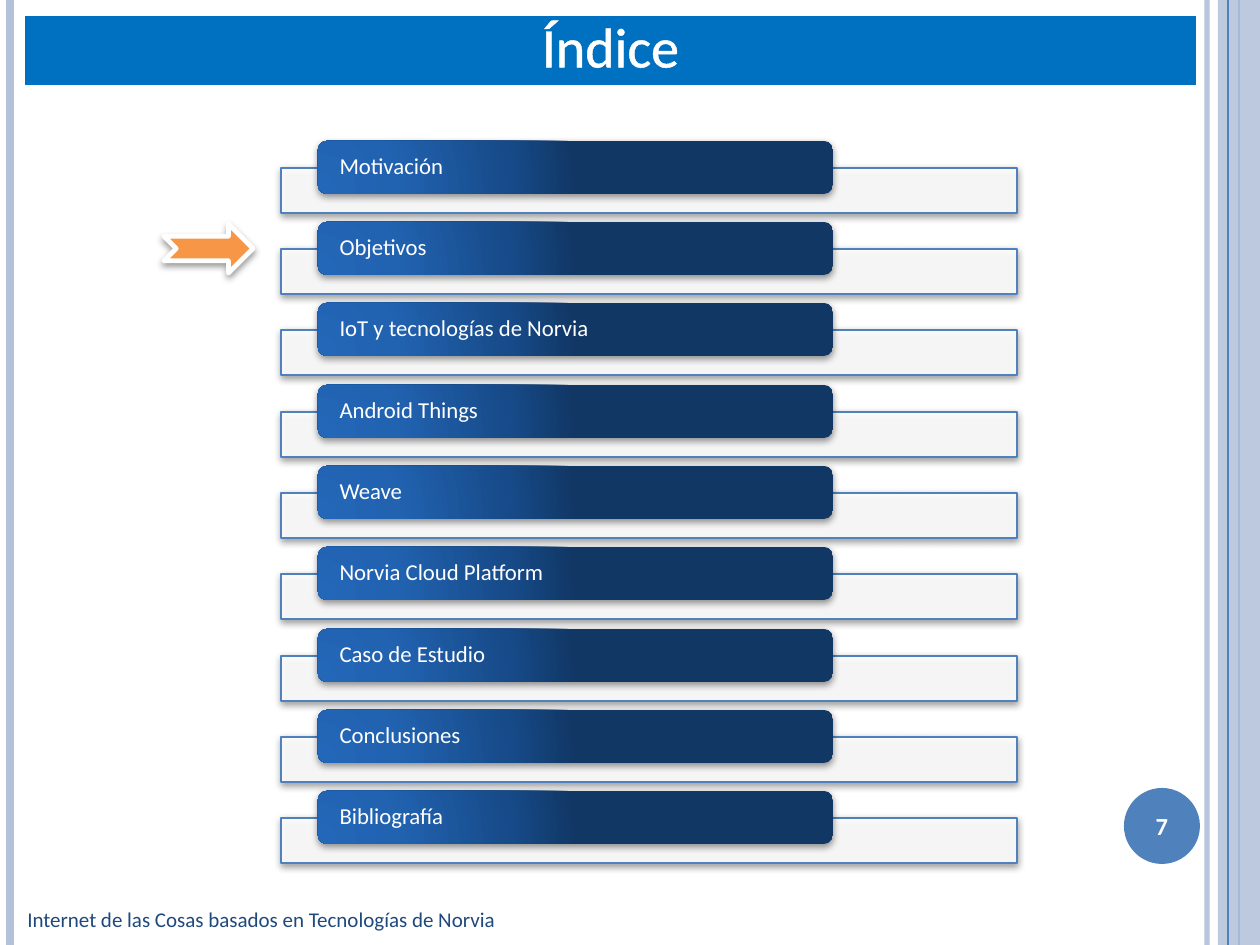
from dataclasses import dataclass
from lxml.etree import SubElement as Sub
from pptx import Presentation
from pptx.dml.color import RGBColor
from pptx.enum.shapes import MSO_CONNECTOR as Conn, MSO_SHAPE as Kind
from pptx.enum.text import MSO_ANCHOR as Anchor, MSO_AUTO_SIZE as Fit, PP_ALIGN as Align
from pptx.oxml import parse_xml
from pptx.oxml.ns import qn
from pptx.util import Emu, Pt

SCALE = 914400 / 126
NS = 'xmlns:a="http://schemas.openxmlformats.org/drawingml/2006/main"'
BLUE = "4F81BD"
PALE = "B3C1DB"
WHITE = "FFFFFF"
STEP = 81.25
STOPS = [(0, "2367B8"), (30, "2263B1"), (75, "164A88"), (100, "113765")]
TOPICS = [
    "Motivación",
    "Objetivos",
    "IoT y tecnologías de Norvia",
    "Android Things",
    "Weave",
    "Norvia Cloud Platform",
    "Caso de Estudio",
    "Conclusiones",
    "Bibliografía",
]


@dataclass
class Box:
    x: int
    y: int
    w: int
    h: int


@dataclass
class Rule:
    x: int
    color: str
    width: float
    alpha: int = 100


RULES = [Rule(1207, PALE, 3, 93), Rule(10, PALE, 4.5), Rule(1239, BLUE, 1.5)]
THIN = Rule(1228, BLUE, 0.75)


def px(n: int) -> Emu:
    return Emu(round(n * SCALE))


def rgb(code: str) -> RGBColor:
    return RGBColor.from_string(code)


def area(box: Box) -> tuple:
    return px(box.x), px(box.y), px(box.w), px(box.h)


def paint(fill, owner, color: str, alpha: int = 100) -> None:
    fill.solid()
    fill.fore_color.rgb = rgb(color)
    if alpha < 100:
        tone = next(owner.iter(qn("a:srgbClr")))
        Sub(tone, qn("a:alpha"), val=str(alpha * 1000))


def draw_rule(slide, rule: Rule) -> None:
    line = slide.shapes.add_connector(Conn.STRAIGHT, px(rule.x), 0, px(rule.x), px(945))
    line.line.width = Pt(rule.width)
    props = line._element.spPr
    paint(line.line.fill, props, rule.color, rule.alpha)
    Sub(props, qn("a:effectLst"))


def add_shape(slide, kind: Kind, box: Box, color: str = "", alpha: int = 100,
              edge: str = "", width: float = 1):
    shape = slide.shapes.add_shape(kind, *area(box))
    shape.shadow.inherit = False
    if color:
        paint(shape.fill, shape._element.spPr, color, alpha)
    if edge:
        shape.line.color.rgb = rgb(edge)
        shape.line.width = Pt(width)
    else:
        shape.line.fill.background()
    return shape


def add_shade(shape, alpha: int, dist: float) -> None:
    list_ = shape._element.spPr.find(qn("a:effectLst"))
    shade = Sub(list_, qn("a:outerShdw"), blurRad=str(Pt(4)), dist=str(Pt(dist)),
                dir="5400000", rotWithShape="0")
    tone = Sub(shade, qn("a:srgbClr"), val="000000")
    Sub(tone, qn("a:alpha"), val=str(alpha * 1000))


def add_grad(shape) -> None:
    stops = "".join(
        f'<a:gs pos="{pos * 1000}"><a:srgbClr val="{color}"/></a:gs>'
        for pos, color in STOPS
    )
    grad = parse_xml(
        f'<a:gradFill {NS} rotWithShape="1"><a:gsLst>{stops}</a:gsLst>'
        '<a:path path="circle"><a:fillToRect l="5000" t="100000" r="120000" b="10000"/>'
        '</a:path></a:gradFill>'
    )
    shape._element.spPr.insert(2, grad)


def write(shape, text: str, size: int, color: str, align: Align = Align.LEFT,
          anchor: Anchor = Anchor.MIDDLE, bold: bool = False):
    frame = shape.text_frame
    frame.word_wrap = True
    frame.auto_size = Fit.NONE
    frame.vertical_anchor = anchor
    para = frame.paragraphs[0]
    para.text = text
    para.alignment = align
    font = para.font
    font.name = "Calibri"
    font.size = Pt(size)
    font.bold = bold
    font.color.rgb = rgb(color)
    return frame


def add_topic(slide, text: str, top: int) -> None:
    bar = add_shape(slide, Kind.RECTANGLE, Box(281, top + 27, 736, 45), WHITE, 90, BLUE)
    add_shade(bar, 42, 1.6)
    pill = add_shape(slide, Kind.ROUNDED_RECTANGLE, Box(318, top, 515, 53))
    add_grad(pill)
    add_shade(pill, 42, 1.6)
    frame = write(pill, text, 13, WHITE)
    frame.margin_left = frame.margin_right = px(19)
    frame.margin_top = frame.margin_bottom = 0
    frame.paragraphs[0].line_spacing = 0.9


def add_title(slide, text: str) -> None:
    title = slide.shapes.title
    title.left, title.top, title.width, title.height = area(Box(25, 16, 1171, 69))
    paint(title.fill, title._element.spPr, "0070C0")
    frame = write(title, text, 32, WHITE, Align.CENTER, Anchor.BOTTOM)
    props = frame.paragraphs[0].runs[0]._r.get_or_add_rPr()
    props.insert(0, parse_xml(
        f'<a:ln {NS} w="{Pt(1.45)}"><a:solidFill><a:srgbClr val="{WHITE}"/>'
        '</a:solidFill></a:ln>'
    ))


def main() -> None:
    deck = Presentation()
    deck.slide_width, deck.slide_height = px(1260), px(945)
    slide = deck.slides.add_slide(deck.slide_layouts[5])
    for rule in RULES:
        draw_rule(slide, rule)
    add_shape(slide, Kind.RECTANGLE, Box(1218, 0, 42, 945), PALE, 87)
    draw_rule(slide, THIN)
    add_title(slide, "Índice")
    for i, topic in enumerate(TOPICS):
        add_topic(slide, topic, 141 + round(i * STEP))
    foot = slide.shapes.add_textbox(*area(Box(15, 900, 605, 39)))
    write(foot, "Internet de las Cosas basados en Tecnologías de Norvia", 12, "1F497D")
    disc = add_shape(slide, Kind.OVAL, Box(1124, 788, 76, 76), BLUE)
    write(disc, "7", 14, WHITE, Align.CENTER, bold=True)
    arrow = add_shape(slide, Kind.NOTCHED_RIGHT_ARROW, Box(164, 224, 89, 49),
                      "F79646", edge=WHITE, width=2.75)
    add_shade(arrow, 40, 2)
    deck.save("out.pptx")


if __name__ == "__main__":
    main()
